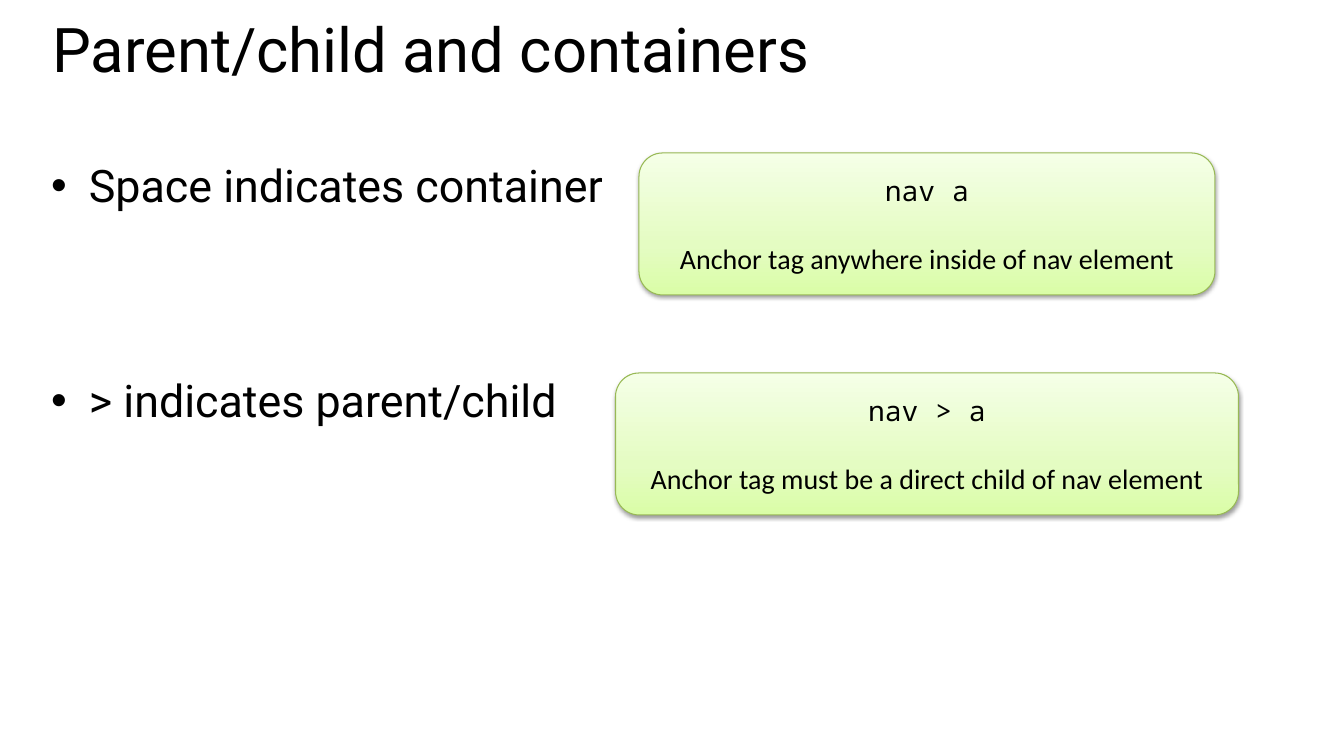
import copy

import lxml.etree
import pptx
import pptx.dml.color
import pptx.enum.shapes
import pptx.enum.text
import pptx.oxml
import pptx.oxml.ns
import pptx.util

SCALE = 914400 / 100.8  # EMU per pixel
COLORS = {"text": "000000", "edge": "98B955", "bottom": "DAFDA7",
          "middle": "E4FCC2", "top": "F5FFE7", "shadow": "000000"}
ALIGN = pptx.enum.text.PP_ALIGN
ANCHOR = pptx.enum.text.MSO_ANCHOR


def place(item, left, top, width, height, anchor):
    """Set the pixel bounds and the text frame layout of a shape."""
    bounds = {"left": left, "top": top, "width": width, "height": height}
    for name, pixels in bounds.items():
        setattr(item, name, pptx.util.Emu(round(pixels * SCALE)))
    layout = {"word_wrap": True, "vertical_anchor": anchor,
              "auto_size": pptx.enum.text.MSO_AUTO_SIZE.NONE}
    for name, value in layout.items():
        setattr(item.text_frame, name, value)


def write(frame, lines, size, align, line_spacing=1.0):
    """Fill a frame with (text, font, points before) lines."""
    frame.text = "\n".join(text for text, font, before in lines)
    for para, (text, font, before) in zip(frame.paragraphs, lines):
        spacing = {"alignment": align, "line_spacing": line_spacing,
                   "space_before": pptx.util.Pt(before),
                   "space_after": pptx.util.Pt(0)}
        for name, value in spacing.items():
            setattr(para, name, value)
        span = para.runs[0]
        span.font.name = font
        span.font.size = pptx.util.Pt(size)
        span.font.color.rgb = pptx.dml.color.RGBColor.from_string(COLORS["text"])


deck = pptx.Presentation()
deck.slide_width = pptx.util.Emu(round(1344 * SCALE))
deck.slide_height = pptx.util.Emu(round(756 * SCALE))
slide = deck.slides.add_slide(deck.slide_layouts[1])

# Title and bullet list
title = slide.shapes.title
place(title, 42, 20, 1270, 117, ANCHOR.TOP)
write(title.text_frame, [("Parent/child and containers", "Roboto", 0)],
      44, ALIGN.LEFT, 0.8)

body = slide.placeholders[1]
place(body, 41, 153, 1270, 584, ANCHOR.TOP)
write(body.text_frame, [("Space indicates container", "Roboto", 14),
                        ("> indicates parent/child", "Roboto", 115)],
      32, ALIGN.LEFT)

# Selector examples, centred on one axis
AXIS, BOX_HEIGHT = 927, 142
examples = [
    (153, 576, "nav a", "Anchor tag anywhere inside of nav element"),
    (373, 623, "nav > a", "Anchor tag must be a direct child of nav element"),
]
for top, width, selector, meaning in examples:
    box = slide.shapes.add_shape(
        pptx.enum.shapes.MSO_SHAPE.ROUNDED_RECTANGLE, 0, 0, 0, 0)
    place(box, AXIS - width / 2, top, width, BOX_HEIGHT, ANCHOR.MIDDLE)
    write(box.text_frame, [(selector, "Noto Sans Mono", 0),
                           (meaning, "Calibri", 24.5)], 20, ALIGN.CENTER)

    box.fill.gradient()
    box.fill.gradient_angle = 90
    stop_list = box.fill._xPr.find(".//" + pptx.oxml.ns.qn("a:gsLst"))
    stop_list.append(copy.deepcopy(stop_list[-1]))
    for stop, position, name in zip(box.fill.gradient_stops, (0, 0.35, 1),
                                    ("bottom", "middle", "top")):
        stop.position = position
        stop.color.rgb = pptx.dml.color.RGBColor.from_string(COLORS[name])
    box.line.color.rgb = pptx.dml.color.RGBColor.from_string(COLORS["edge"])
    box.line.width = pptx.util.Pt(0.75)

    box.shadow.inherit = False
    effects = box._element.spPr.find(pptx.oxml.ns.qn("a:effectLst"))
    shadow = lxml.etree.SubElement(
        effects, pptx.oxml.ns.qn("a:outerShdw"), dir="5400000", rotWithShape="0",
        blurRad=str(pptx.util.Pt(3.1)), dist=str(pptx.util.Pt(1.6)))
    tint = lxml.etree.SubElement(
        shadow, pptx.oxml.ns.qn("a:srgbClr"), val=COLORS["shadow"])
    lxml.etree.SubElement(tint, pptx.oxml.ns.qn("a:alpha"), val="38000")

deck.save("out.pptx")
